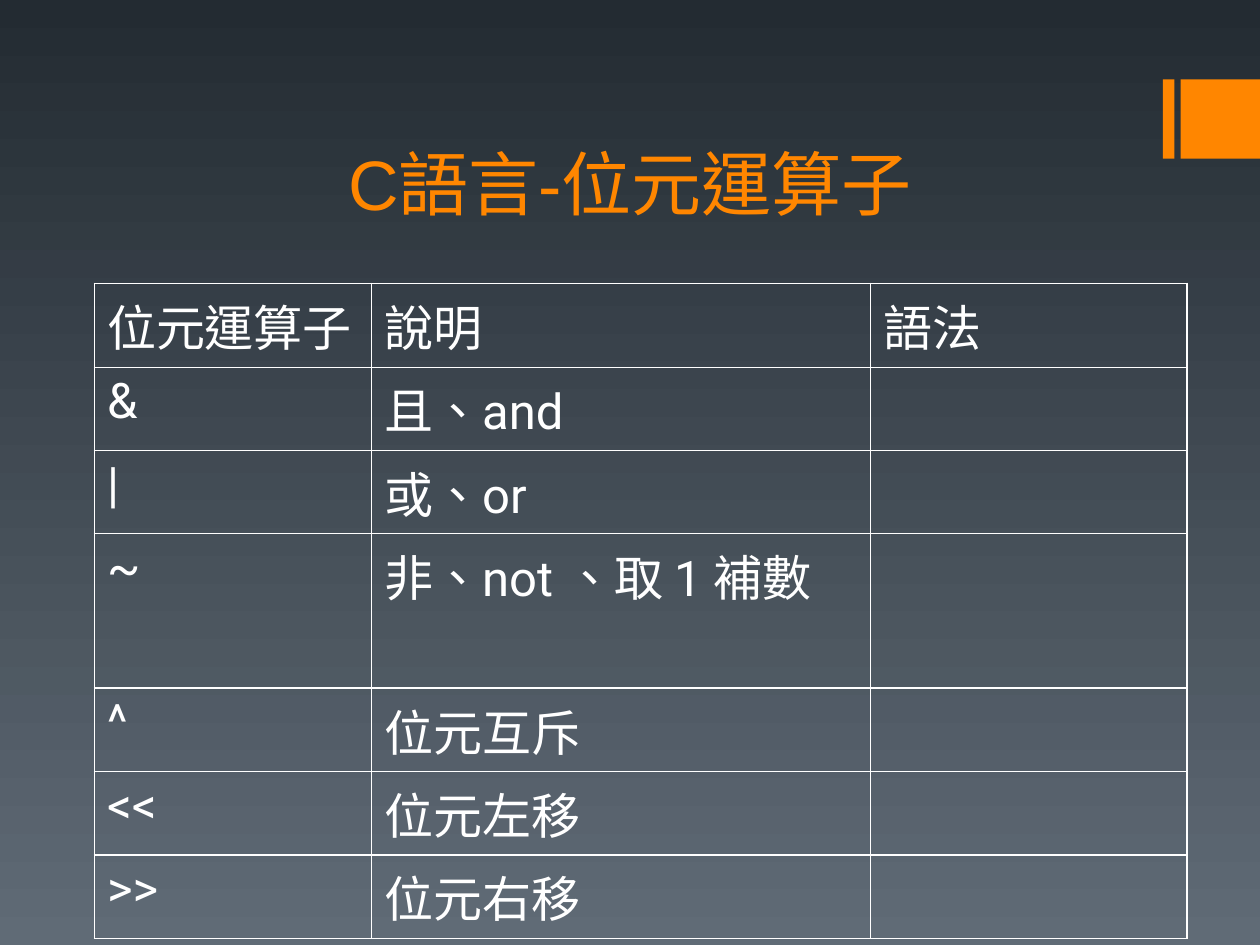
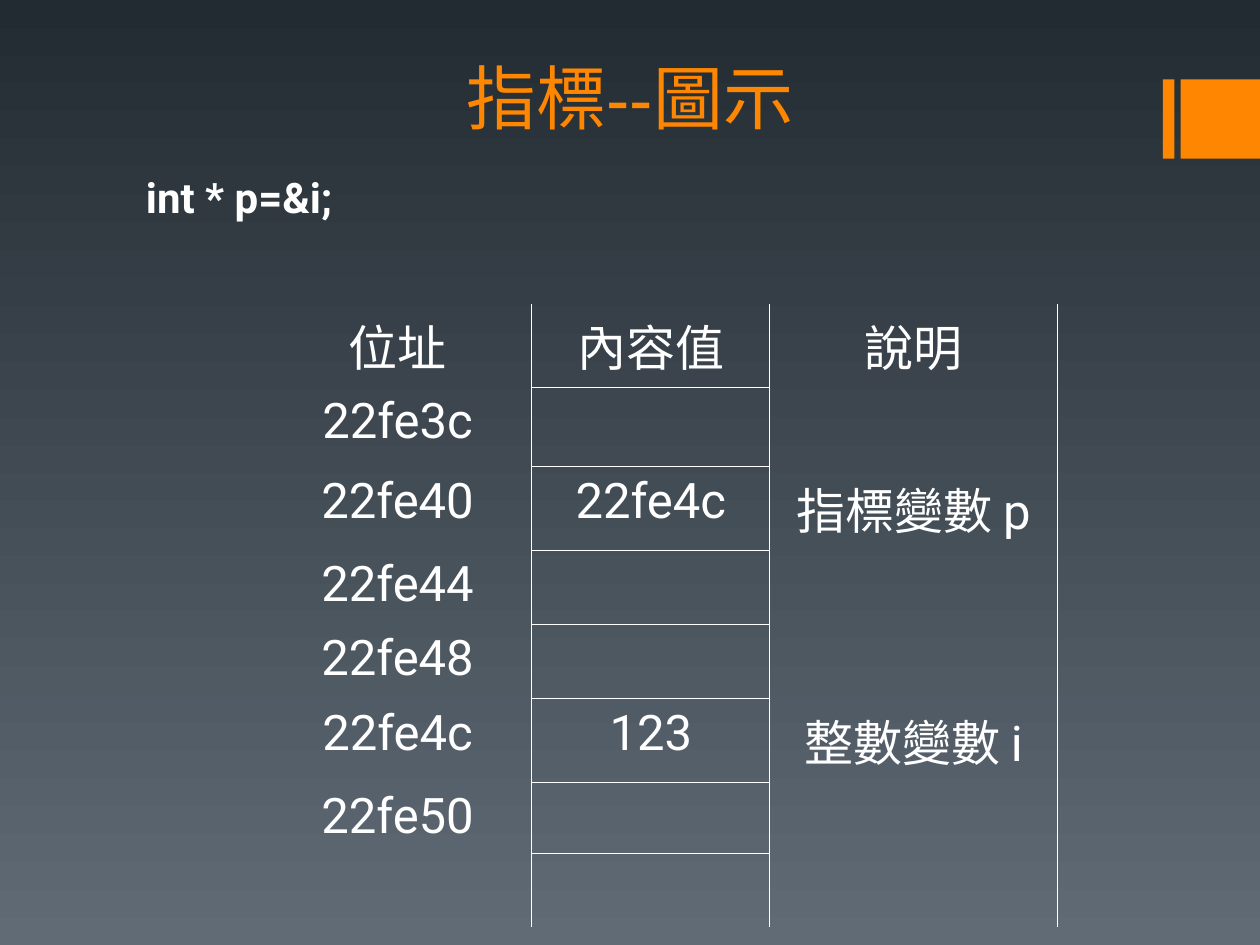
from lxml import etree
from pptx import Presentation
from pptx.dml.color import RGBColor
from pptx.enum.lang import MSO_LANGUAGE_ID as LANG
from pptx.enum.shapes import MSO_SHAPE
from pptx.enum.text import MSO_ANCHOR, MSO_AUTO_SIZE, PP_ALIGN
from pptx.oxml.ns import qn
from pptx.util import Inches, Pt

# Content
OPERATORS = dict(
    title="C語言-位元運算子",
    title_height=1.51,
    at=(0.75, 2.25),
    cols=[2.2, 3.96, 2.51],
    row_heights=[0.6, 0.57, 0.57, 1.04, 0.57, 0.57, 0.57],
    align=PP_ALIGN.LEFT,
    rows=[
        ("位元運算子", "說明", "語法"),
        ("&", "且、and", ""),
        ("|", "或、or", ""),
        ("~", "非、not 、取 1 補數", ""),
        ("^", "位元互斥", ""),
        ("<<", "位元左移", ""),
        (">>", "位元右移", ""),
    ],
)
MEMORY = dict(
    title="指標--圖示",
    title_height=0.83,
    at=(2.09, 2.41),
    cols=[2.13, 1.89, 2.28],
    row_heights=[0.57, 0.63, 0.57, 0.59, 0.59, 0.57, 0.57, 0.58],
    align=PP_ALIGN.CENTER,
    rows=[
        ("位址", "內容值", "說明"),
        ("22fe3c", "", ""),
        ("22fe40", "22fe4c", "指標變數 p"),
        ("22fe44", "", ""),
        ("22fe48", "", ""),
        ("22fe4c", "123", "整數變數 i"),
        ("22fe50", "", ""),
        ("", "", ""),
    ],
)
DECLARATION = "int * p=&i;"


# Theme
class Theme:
    accent = RGBColor(0xFF, 0x86, 0x00)
    text = RGBColor(0xFF, 0xFF, 0xFF)
    background = RGBColor(0x23, 0x2B, 0x32), RGBColor(0x60, 0x6B, 0x76)
    thin, thick = 0.45, 1.08
    title = dict(name="Arial", size=Pt(40))
    cell = dict(name="Roboto", size=Pt(28))
    code = dict(name="Roboto", size=Pt(24), bold=True)


# Corner band: left and width of each block
BANDS = [(9.23, 0.09), (9.37, 0.63)]
BAND_TOP = BAND_HEIGHT = 0.63


def write(tf, text, style, color, align=PP_ALIGN.LEFT):
    p = tf.paragraphs[0]
    p.alignment = align
    r = p.add_run()
    r.text = text
    for key, value in style.items():
        setattr(r.font, key, value)
    r.font.color.rgb = color
    r.font.language_id = LANG.TRADITIONAL_CHINESE


def set_background(master):
    fill = master.background.fill
    fill.gradient()
    fill.gradient_angle = 270
    for stop, color, position in zip(fill.gradient_stops, Theme.background, (0, 1)):
        stop.color.rgb = color
        stop.position = position


def add_slide(prs, content):
    s = prs.slides.add_slide(prs.slide_layouts[5])
    for left, width in BANDS:
        sp = s.shapes.add_shape(MSO_SHAPE.RECTANGLE, Inches(left), Inches(BAND_TOP),
                                Inches(width), Inches(BAND_HEIGHT))
        sp.shadow.inherit = False
        sp.fill.solid()
        sp.fill.fore_color.rgb = Theme.accent
        sp.line.fill.background()
    title = s.shapes.title
    title.left, title.top = Inches(0.5), Inches(0.32)
    title.width, title.height = Inches(9), Inches(content["title_height"])
    tf = title.text_frame
    tf.auto_size = MSO_AUTO_SIZE.NONE
    tf.vertical_anchor = MSO_ANCHOR.BOTTOM
    write(tf, content["title"], Theme.title, Theme.accent, PP_ALIGN.CENTER)
    return s


def set_borders(cell, widths):
    """Draw left, right, top and bottom borders; a width of 0 hides one."""
    tcPr = cell._tc.get_or_add_tcPr()
    for i, (side, width) in enumerate(zip("LRTB", widths)):
        ln = etree.Element(qn(f"a:ln{side}"), w=str(Pt(width)))
        if width:
            fill = etree.SubElement(ln, qn("a:solidFill"))
            etree.SubElement(fill, qn("a:srgbClr"), val=str(Theme.text))
        else:
            etree.SubElement(ln, qn("a:noFill"))
        tcPr.insert(i, ln)


def operator_borders(row, col):
    def vertical(line):
        return Theme.thick if line in (0, 3) else Theme.thin

    def horizontal(line):
        return Theme.thin if 1 <= line <= 3 else Theme.thick

    return vertical(col), vertical(col + 1), horizontal(row), horizontal(row + 1)


def memory_borders(row, col):
    last = len(MEMORY["rows"]) - 1
    left = Theme.thin if col else 0
    top = Theme.thin if col == 1 and row else 0
    bottom = Theme.thin if col == 1 and row < last else 0
    return left, Theme.thin, top, bottom


def add_grid(s, content, borders):
    rows, cols, heights = content["rows"], content["cols"], content["row_heights"]
    left, top = content["at"]
    table = s.shapes.add_table(len(rows), len(cols), Inches(left), Inches(top),
                               Inches(sum(cols)), Inches(sum(heights))).table
    table.first_row = table.horz_banding = False
    for column, width in zip(table.columns, cols):
        column.width = Inches(width)
    for i, (row, height) in enumerate(zip(rows, heights)):
        table.rows[i].height = Inches(height)
        for j, text in enumerate(row):
            cell = table.cell(i, j)
            cell.fill.background()
            set_borders(cell, borders(i, j))
            if text:
                write(cell.text_frame, text, Theme.cell, Theme.text, content["align"])


def main():
    prs = Presentation()
    prs.slide_width, prs.slide_height = Inches(10), Inches(7.5)
    set_background(prs.slide_master)

    # Bitwise operators
    s = add_slide(prs, OPERATORS)
    add_grid(s, OPERATORS, operator_borders)

    # Pointer in memory
    s = add_slide(prs, MEMORY)
    add_grid(s, MEMORY, memory_borders)
    box = s.shapes.add_textbox(Inches(1.06), Inches(1.31), Inches(5.67), Inches(0.5))
    tf = box.text_frame
    tf.word_wrap = True
    tf.auto_size = MSO_AUTO_SIZE.SHAPE_TO_FIT_TEXT
    write(tf, DECLARATION, Theme.code, Theme.text)

    prs.save("out.pptx")


if __name__ == "__main__":
    main()
